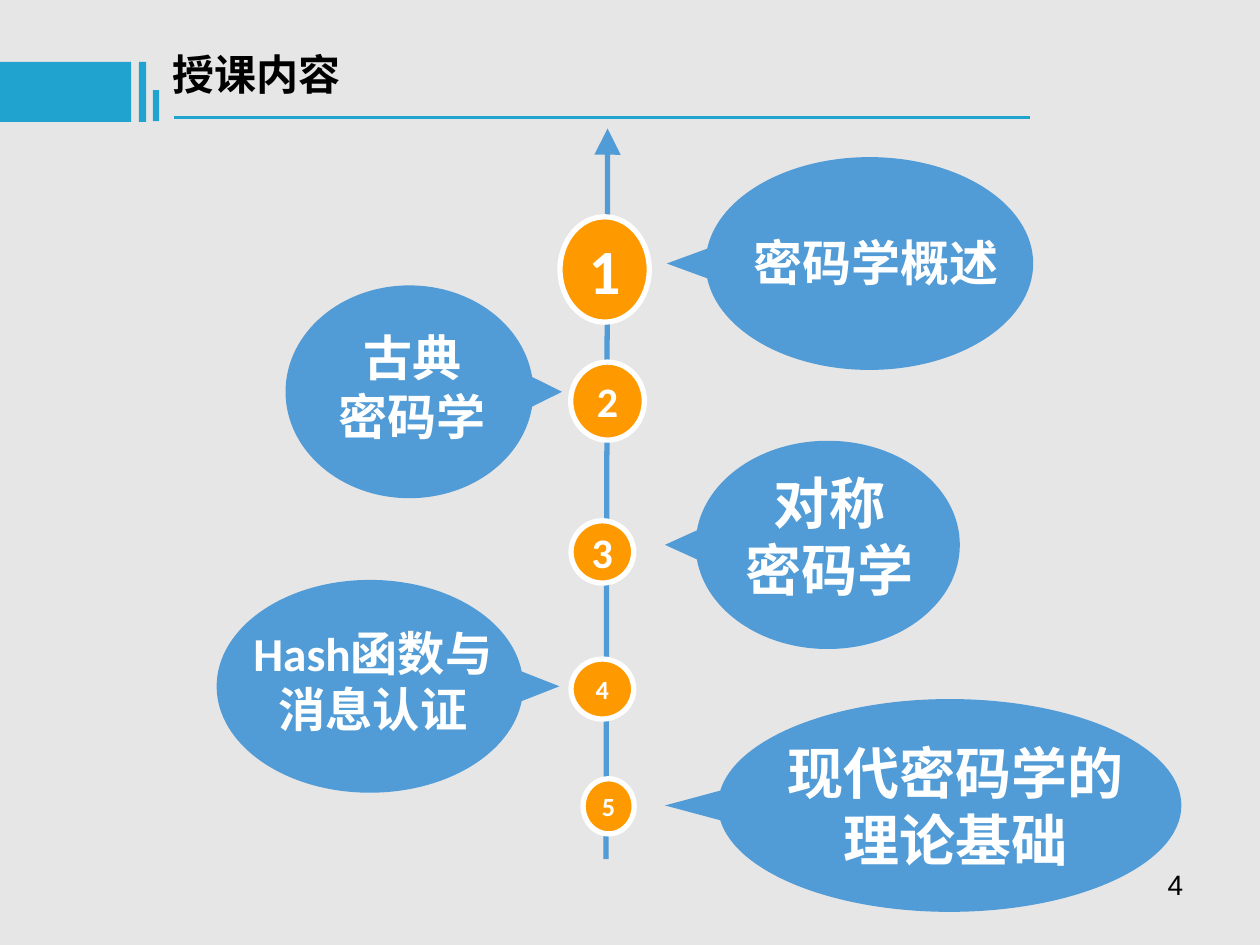
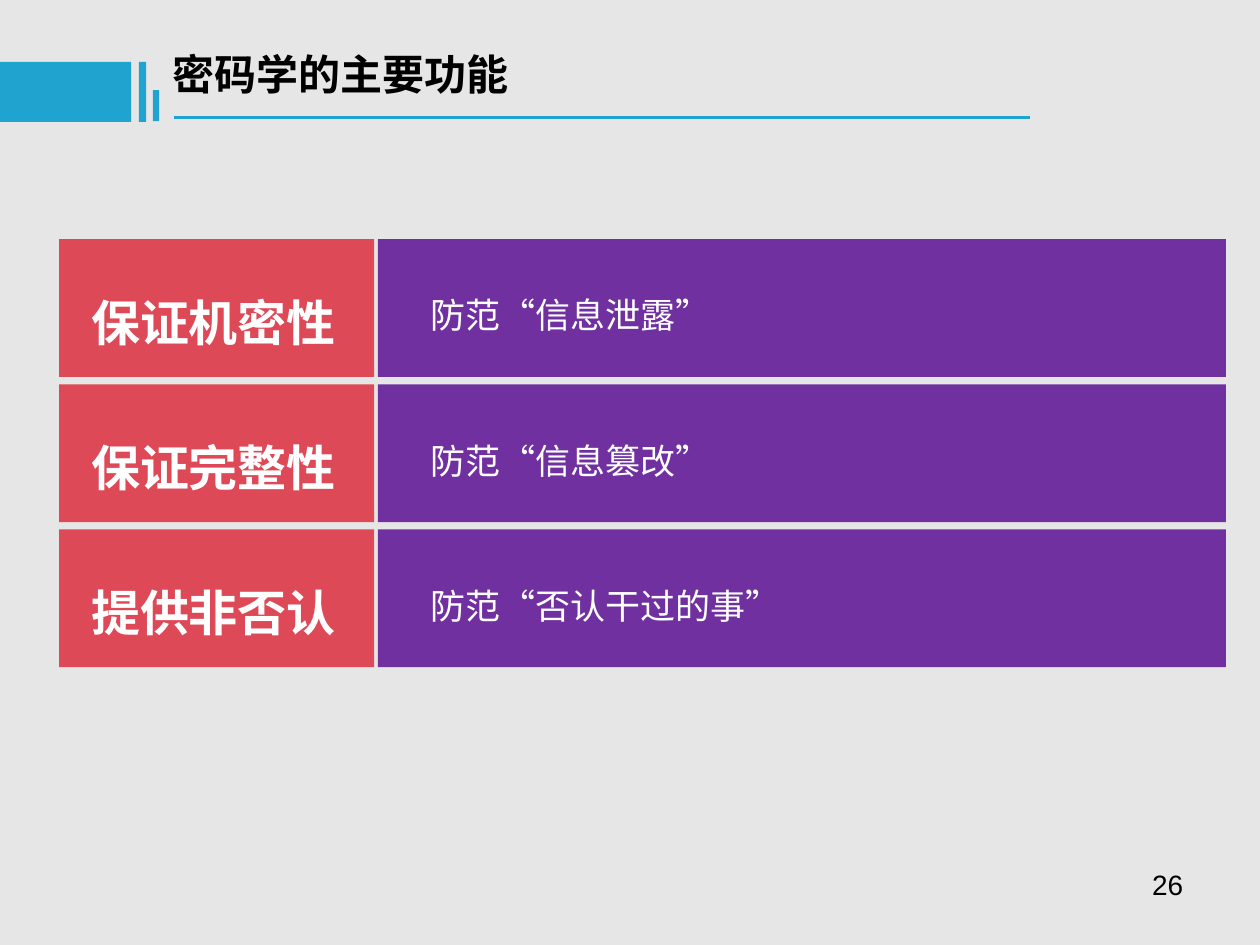
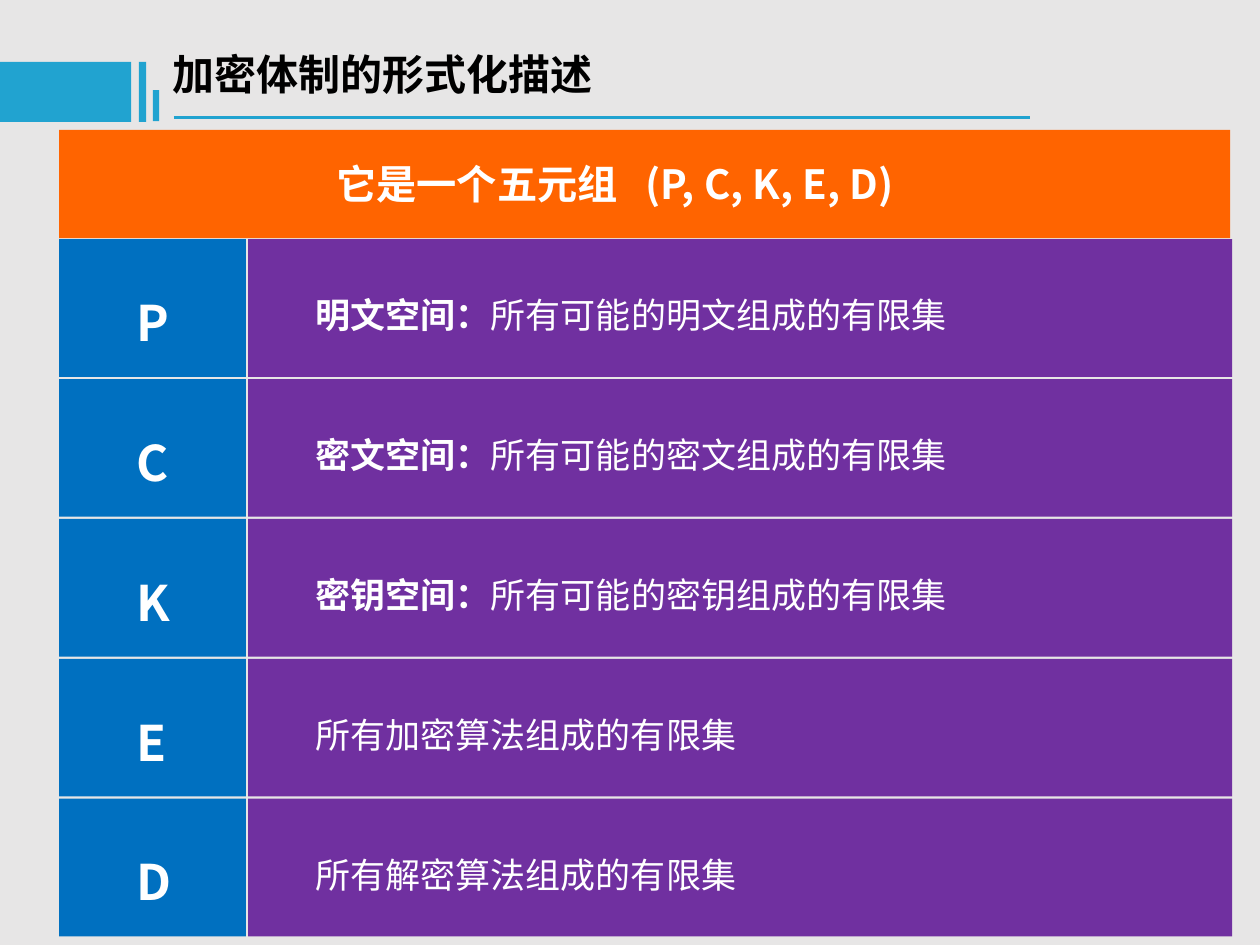
import math
from dataclasses import dataclass

from lxml import etree
from pptx import Presentation
from pptx.dml.color import RGBColor
from pptx.enum import shapes, text
from pptx.oxml import ns
from pptx.util import Pt

# Shared look
HUE = {"back": "E7E6E6", "band": "21A3D0", "bubble": "519CD6", "dot": "FF9900",
       "white": "FFFFFF", "black": "000000", "violet": "7030A0",
       "red": "DE4957", "blue": "0070C0", "orange": "FF6400"}
HAN = "Noto Sans CJK SC"
LEFT, MID = text.PP_ALIGN.LEFT, text.PP_ALIGN.CENTER
RECT, OVAL = shapes.MSO_SHAPE.RECTANGLE, shapes.MSO_SHAPE.OVAL


@dataclass
class Box:
    x: float
    y: float
    w: float
    h: float

    def pts(self) -> tuple:
        return Pt(self.x), Pt(self.y), Pt(self.w), Pt(self.h)


@dataclass
class Style:
    size: float
    font: str = HAN
    hue: str = "white"
    bold: bool = True
    align: text.PP_ALIGN = LEFT
    space: float = 1.0


@dataclass
class Dot:
    num: str
    box: Box
    size: float


@dataclass
class Bubble:
    words: str
    size: float
    cx: float
    cy: float
    rx: float
    ry: float
    tip: float
    area: Box


@dataclass
class Row:
    key: str
    words: str
    lead: str = ""


@dataclass
class Grid:
    pitch: float
    key: Box
    body: Box
    key_x: float
    key_w: float
    text_x: float
    text_w: float
    hue: str
    pad: float


TOP, HIGH = 136.7, 78.7
BANDS = [Box(0, 35.4, 75, 34.2), Box(79.4, 35.4, 4.2, 34.2), Box(87.3, 51.5, 3.7, 17.8)]

DOTS = [Dot("1", Box(320, 123.9, 51, 60.2), 36),
        Dot("2", Box(326.1, 206.9, 42.1, 44.6), 24),
        Dot("5", Box(333.2, 445, 29.2, 31.5), 15),
        Dot("4", Box(326.3, 376.6, 35.8, 34.3), 15),
        Dot("3", Box(326.3, 297.6, 35.8, 35.6), 24)]

BUBBLES = [
    Bubble("密码学概述", 28, 496.8, 150.6, 93.6, 60.8, 381, Box(410.4, 129.6, 180, 41)),
    Bubble("古典\n密码学", 28, 234, 223.9, 70.8, 60.8, 321.2, Box(167.6, 183.6, 136, 75)),
    Bubble("对称\n密码学", 32, 473, 311.4, 75.5, 59.5, 380, Box(396.8, 264.2, 154, 84)),
    Bubble("Hash函数与消息认证", 27, 211.4, 392.2, 87.6, 60.8, 319.7,
           Box(128.9, 353, 168.5, 72)),
    Bubble("现代密码学的\n理论基础", 32, 542.7, 460.3, 132.4, 60.8, 380,
           Box(419, 418.3, 254, 84)),
]

GOALS = [Row("保证机密性", "防范“信息泄露”"),
         Row("保证完整性", "防范“信息篡改”"),
         Row("提供非否认", "防范“否认干过的事”")]
GOAL_GRID = Grid(82.95, Box(33.8, TOP, 180, HIGH), Box(216, TOP, 484.6, HIGH),
                 45, 168.5, 225.4, 450.7, "red", 20.6)

TUPLE = [Row("P", "所有可能的明文组成的有限集", "明文空间："),
         Row("C", "所有可能的密文组成的有限集", "密文空间："),
         Row("K", "所有可能的密钥组成的有限集", "密钥空间："),
         Row("E", "所有加密算法组成的有限集"),
         Row("D", "所有解密算法组成的有限集")]
TUPLE_GRID = Grid(79.92, Box(33.8, TOP, 106.8, HIGH), Box(141.8, TOP, 562.3, HIGH),
                  70.8, 44.6, 173.2, 502.6, "blue", 7.2)


def rgb(name: str) -> RGBColor:
    return RGBColor.from_string(HUE[name])


# Drawing helpers
def write(shape, words: str, style: Style, *more: str) -> None:
    """Fill a shape; with more parts, the first one is bold."""
    frame = shape.text_frame
    frame.word_wrap = True
    frame.text = words
    for part in more:
        frame.paragraphs[0].add_run().text = part
    for para in frame.paragraphs:
        para.alignment, para.line_spacing = style.align, style.space
        for i, run in enumerate(para.runs):
            font = run.font
            font.name, font.size = style.font, Pt(style.size)
            font.bold = style.bold or (bool(more) and i == 0)
            font.color.rgb = rgb(style.hue)
            east = etree.SubElement(run._r.get_or_add_rPr(), ns.qn("a:ea"))
            east.set("typeface", HAN)


def label(slide, box: Box, words: str, style: Style, *more: str, pad: float = 7.2):
    area = slide.shapes.add_textbox(*box.pts())
    area.text_frame.margin_left = Pt(pad)
    write(area, words, style, *more)
    return area


def paint(shape, hue: str) -> None:
    shape.shadow.inherit = False
    shape.fill.solid()
    shape.fill.fore_color.rgb = rgb(hue)
    shape.line.fill.background()


def block(slide, box: Box, hue: str, kind=RECT):
    shape = slide.shapes.add_shape(kind, *box.pts())
    paint(shape, hue)
    return shape


def rule(slide, x1: float, y1: float, x2: float, y2: float, hue: str, wide: float,
         arrow: bool = False) -> None:
    line = slide.shapes.add_connector(shapes.MSO_CONNECTOR.STRAIGHT,
                                      Pt(x1), Pt(y1), Pt(x2), Pt(y2))
    line.line.color.rgb = rgb(hue)
    line.line.width = Pt(wide)
    if arrow:
        head = etree.SubElement(line.line._get_or_add_ln(), ns.qn("a:headEnd"))
        for name, value in (("type", "triangle"), ("w", "lg"), ("len", "lg")):
            head.set(name, value)
    etree.SubElement(line._element.spPr, ns.qn("a:effectLst"))


def start(deck, title: str, wide: float, page: str = ""):
    slide = deck.slides.add_slide(deck.slide_layouts[5])
    head = slide.shapes.title
    head.left, head.top, head.width, head.height = Box(91.3, 24.2, wide, 36).pts()
    head.text_frame.vertical_anchor = text.MSO_ANCHOR.TOP
    head.text_frame.auto_size = text.MSO_AUTO_SIZE.NONE
    write(head, title, Style(24, hue="black"))
    for band in BANDS:
        block(slide, band, "band")
    rule(slide, 99.4, 67, 588.6, 67, "band", 1.5)
    if page:
        label(slide, Box(515.2, 492, 168, 37.4), page,
              Style(16, "Arial", "black", False, text.PP_ALIGN.RIGHT))
    return slide


def bend(shape) -> None:
    """Turn each three points after the first edge into one curve."""
    ends = list(shape._element.iter(ns.qn("a:lnTo")))
    for i in range(1, len(ends), 3):
        curve = etree.Element(ns.qn("a:cubicBezTo"))
        ends[i].addprevious(curve)
        for end in ends[i:i + 3]:
            curve.append(end[0])
            end.getparent().remove(end)


def bubble(slide, item: Bubble) -> None:
    # Ellipse of four arcs, left open by 8 degrees on each side of its tip
    side = -1 if item.tip < item.cx else 1

    def spot(angle: float, pull: float = 0) -> tuple:
        c, s = math.cos(angle), math.sin(angle)
        return (Pt(item.cx + side * item.rx * (c - pull * s)),
                Pt(item.cy + item.ry * (s + pull * c)))

    turns = [math.radians(a) for a in (8, 90, 180, 270, 352)]
    edge = [spot(turns[0])]
    for a, b in zip(turns, turns[1:]):
        pull = 4 / 3 * math.tan((b - a) / 4)
        edge += [spot(a, pull), spot(b, -pull), spot(b)]
    pen = slide.shapes.build_freeform(Pt(item.tip), Pt(item.cy))
    pen.add_line_segments(edge, close=True)
    shape = pen.convert_to_shape()
    bend(shape)
    paint(shape, "bubble")
    label(slide, item.area, item.words, Style(item.size, "Calibri", align=MID))


def dot(slide, item: Dot) -> None:
    shape = block(slide, item.box, "dot", OVAL)
    shape.line.color.rgb = rgb("white")
    shape.line.width = Pt(3)
    frame = shape.text_frame
    frame.margin_left = frame.margin_right = frame.margin_top = frame.margin_bottom = 0
    frame.vertical_anchor = text.MSO_ANCHOR.MIDDLE
    write(shape, item.num, Style(item.size, "Calibri", align=MID))


def rows(slide, items: list[Row], grid: Grid) -> None:
    for i, row in enumerate(items):
        y = TOP + i * grid.pitch
        for box, hue in ((grid.body, "violet"), (grid.key, grid.hue)):
            block(slide, Box(box.x, y, box.w, box.h), hue)
        parts = (row.words,) if row.lead else ()
        label(slide, Box(grid.text_x, y + 15.7, grid.text_w, 43), row.lead or row.words,
              Style(20, bold=False, space=1.5), *parts, pad=grid.pad)
        label(slide, Box(grid.key_x, y + 10.1, grid.key_w, 57.6), row.key,
              Style(28, space=1.5))


def main() -> None:
    deck = Presentation()
    deck.slide_width, deck.slide_height = Pt(720), Pt(540)
    back = deck.slide_master.background.fill
    back.solid()
    back.fore_color.rgb = rgb("back")

    # Course outline
    plan = start(deck, "授课内容", 327.6, "4")
    rule(plan, 347.2, 73.4, 346.3, 491, "bubble", 3, arrow=True)
    for item in DOTS:
        dot(plan, item)
    for item in BUBBLES:
        bubble(plan, item)

    # Goals of cryptography
    goals = start(deck, "密码学的主要功能", 416.2, "26")
    rows(goals, GOALS, GOAL_GRID)

    # Five-part definition, with a widened space before the tuple
    parts = start(deck, "加密体制的形式化描述", 492.5)
    rows(parts, TUPLE, TUPLE_GRID)
    block(parts, Box(33.8, 74.2, 669.2, 61.9), "orange")
    head = label(parts, Box(50.4, 87.5, 602, 35.3), "它是一个五元组",
                 Style(23, align=MID), " ", "(P, C, K, E, D)")
    gap = head.text_frame.paragraphs[0].runs[1]
    gap._r.get_or_add_rPr().set("spc", "1030")

    deck.save("out.pptx")


if __name__ == "__main__":
    main()
